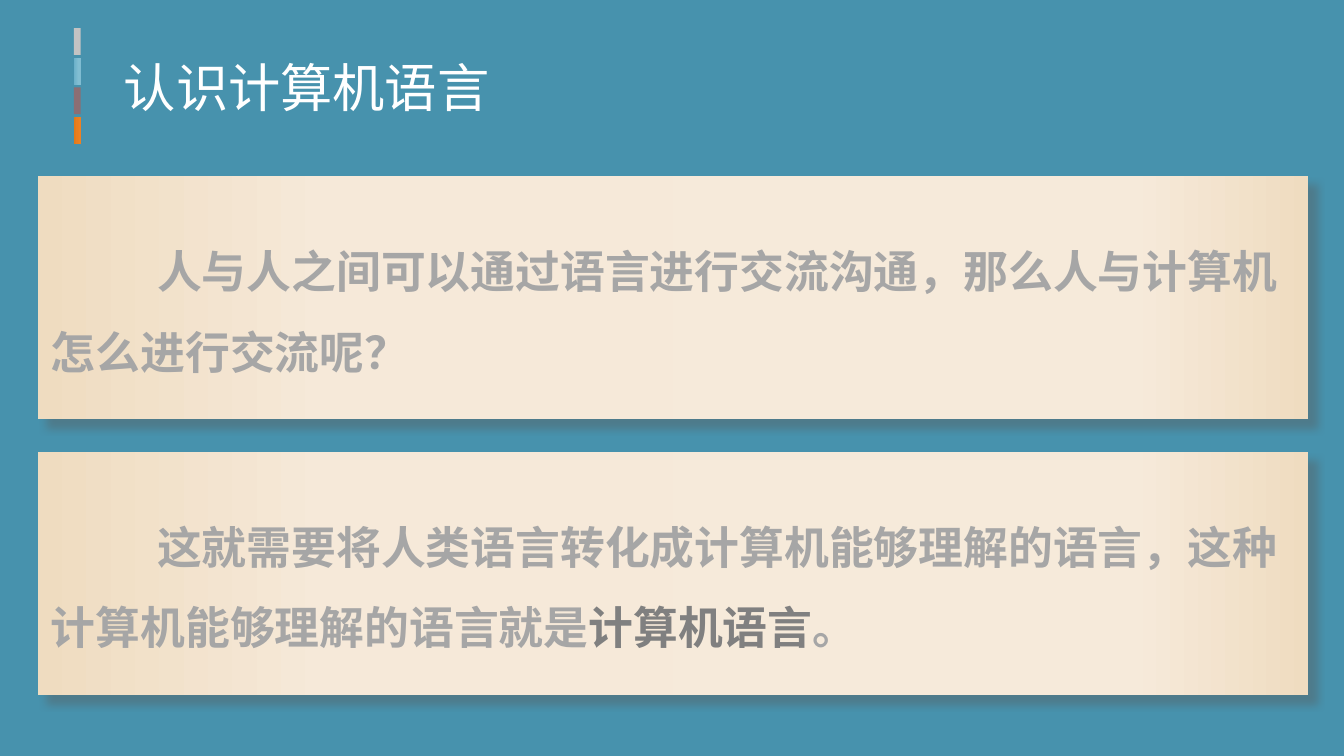
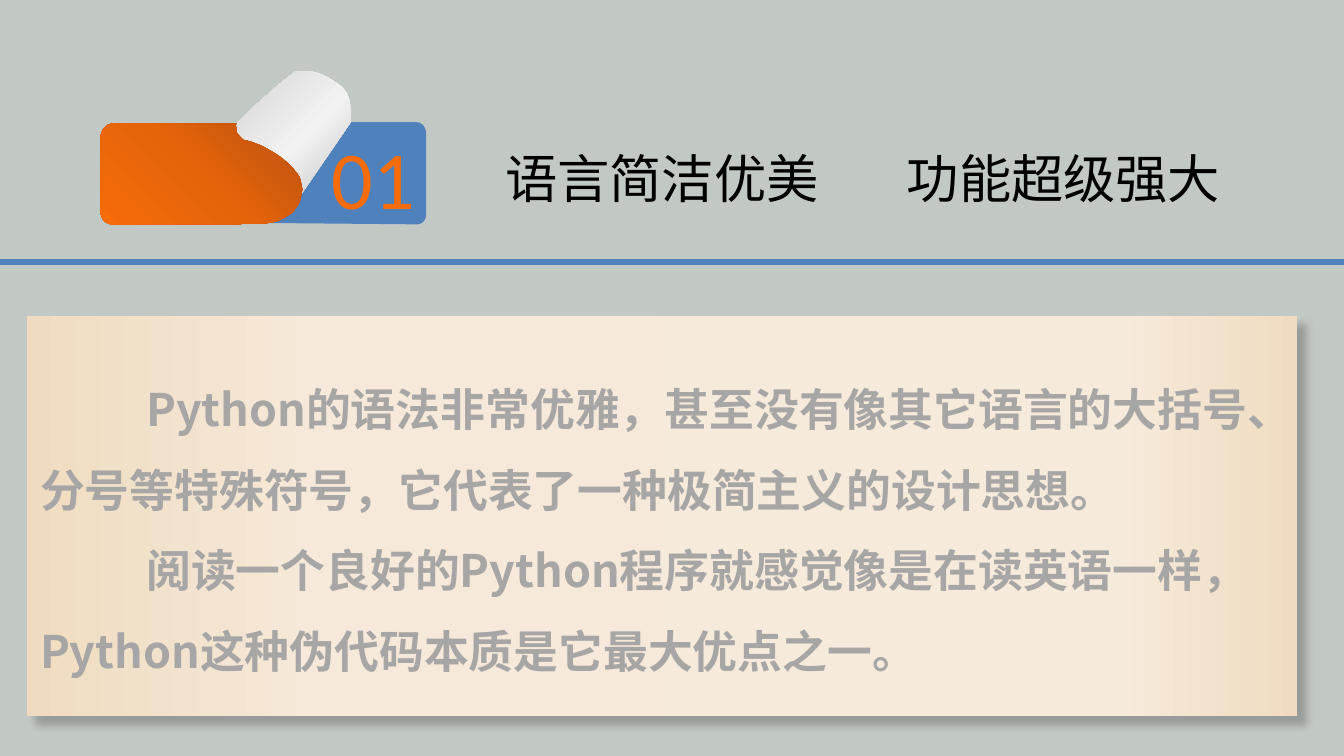
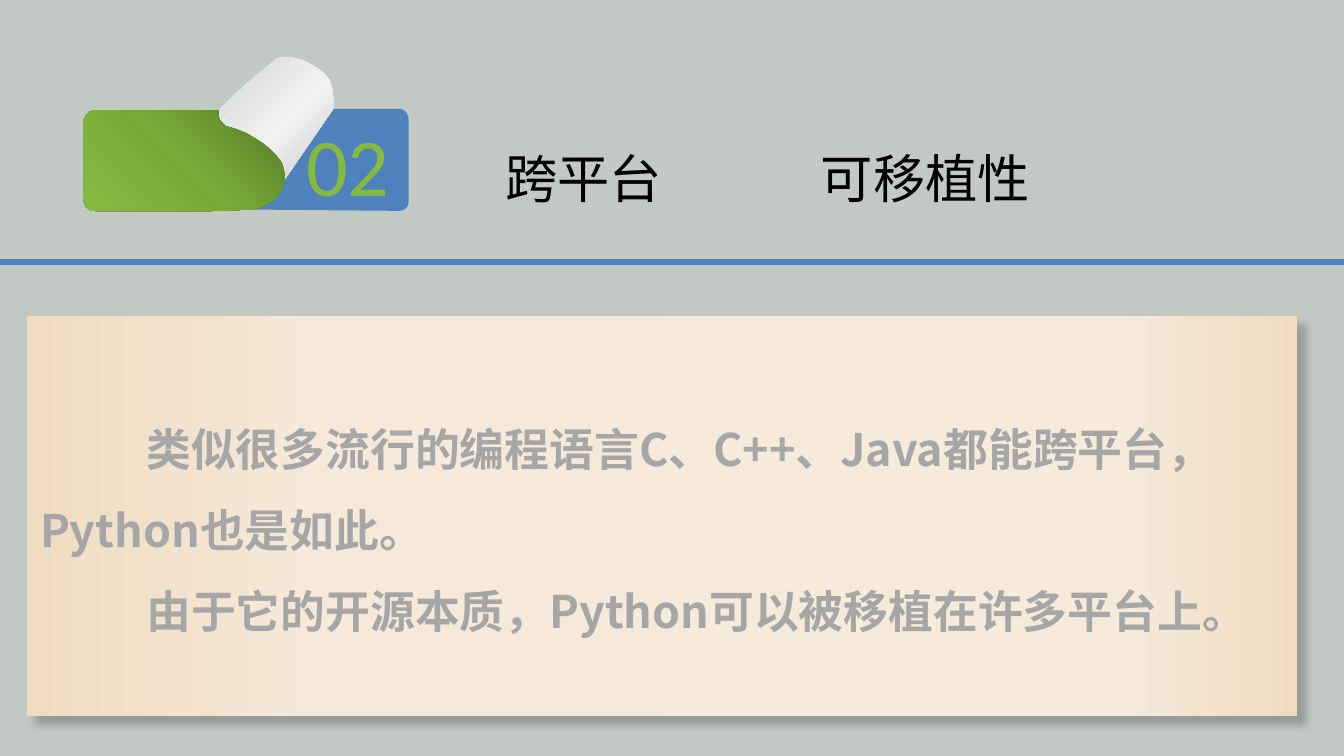
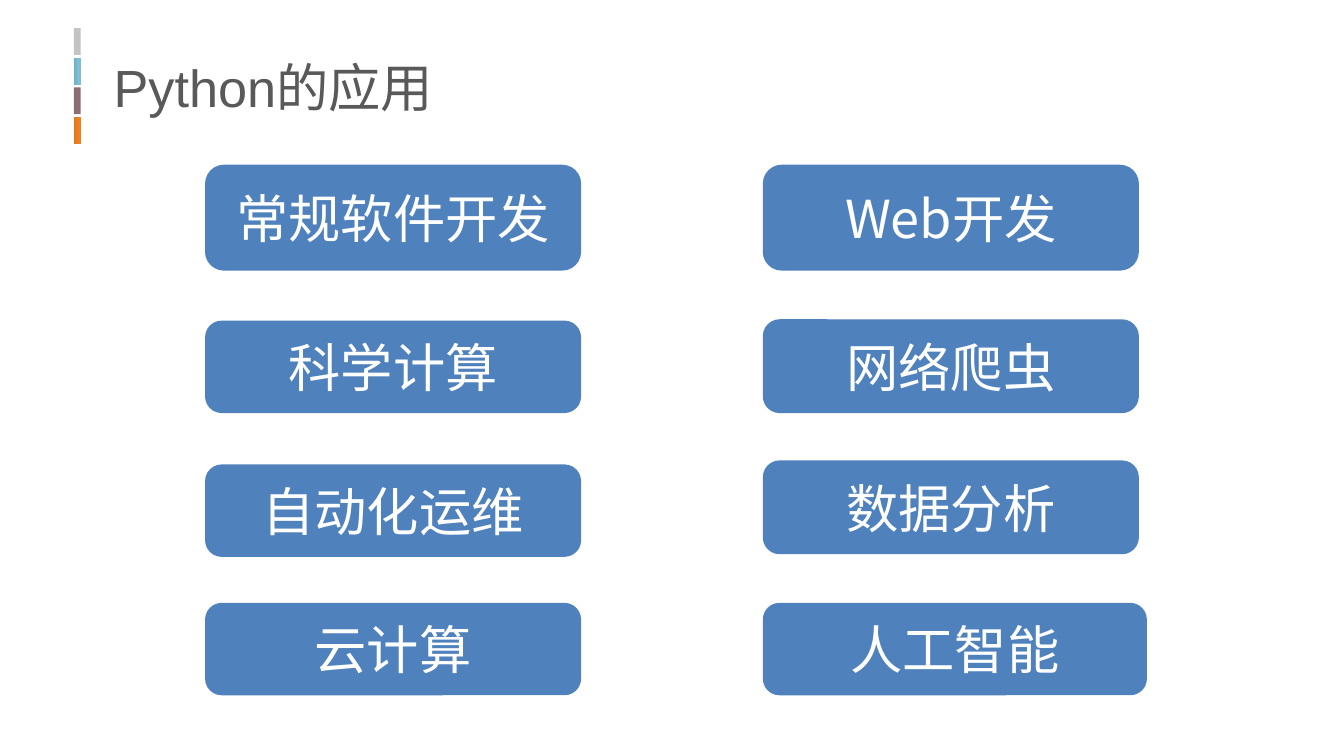
from lxml import etree
from pptx import Presentation
from pptx.dml.color import RGBColor
from pptx.enum.shapes import MSO_CONNECTOR, MSO_SHAPE
from pptx.enum.text import MSO_ANCHOR, MSO_AUTO_SIZE, PP_ALIGN
from pptx.oxml.ns import qn
from pptx.util import Inches, Pt

RECTANGLE, ROUNDED = MSO_SHAPE.RECTANGLE, MSO_SHAPE.ROUNDED_RECTANGLE
STRAIGHT = MSO_CONNECTOR.STRAIGHT
LEFT, CENTER, RIGHT = PP_ALIGN.LEFT, PP_ALIGN.CENTER, PP_ALIGN.RIGHT
TOP, MIDDLE = MSO_ANCHOR.TOP, MSO_ANCHOR.MIDDLE
FIT_SHAPE = MSO_AUTO_SIZE.SHAPE_TO_FIT_TEXT

# Shared style
CJK_FONT = "Noto Sans CJK SC"
BLUE, WHITE, BLACK = "4F81BD", "FFFFFF", "000000"
TEAL, SAGE = "4792AD", "C2C8C4"
TEXT_GREY, STRONG_GREY, TITLE_GREY = "A6A6A6", "808080", "595959"
PARCHMENT = [(0, "EFDCC0"), (23, "F6E9D9"), (50, "F6EADA"), (87, "F6E9D9"), (100, "EFDCC0")]
PAPER = [(8, "D9D9D9"), (50, "F2F2F2"), (98, "BFBFBF")]
ORANGE = [(0, "B95011"), (50, "E5640A"), (100, "F56C09")]
GREEN = [(0, "577B27"), (50, "79AA38"), (100, "86BA3F")]
BARS = ["C3C3C3", [(3, "6CB1CA"), (71, "82BED2")], "8C6E73",
        [(0, "E17919"), (50, "E97E1F"), (100, "F08224")]]

# Page-curl badge outlines: two numbers are a line, six a cubic curve
BADGE_BACK = [(1.98, 1.66), (2.2, 1.51), (2.61, 0.91), (3.1, 0.91),
              (3.14, 0.91, 3.17, 0.95, 3.17, 0.99), (3.17, 1.6),
              (3.17, 1.64, 3.14, 1.67, 3.1, 1.67)]
BADGE_CURL = [(2.2, 0.53), (2.05, 0.65), (1.87, 0.81), (1.75, 0.93), (1.73, 1), (1.78, 1.04),
              (2.05, 1.17), (2.19, 1.3), (2.19, 1.51), (2.08, 1.62), (1.95, 1.67),
              (2.15, 1.58), (2.61, 0.91), (2.61, 0.89, 2.61, 0.88, 2.61, 0.83),
              (2.6, 0.75, 2.61, 0.77, 2.58, 0.69), (2.53, 0.63, 2.51, 0.62, 2.46, 0.59),
              (2.41, 0.56, 2.39, 0.55, 2.31, 0.53), (2.25, 0.53, 2.25, 0.53, 2.2, 0.53)]
BADGE_FRONT = [(1.76, 0.92), (1.75, 0.94, 1.76, 0.93, 1.76, 0.98),
               (1.77, 1, 1.77, 1, 1.81, 1.04), (1.85, 1.05, 1.86, 1.05, 1.91, 1.07),
               (1.97, 1.09, 1.99, 1.11, 2.03, 1.13), (2.09, 1.17, 2.11, 1.18, 2.18, 1.25),
               (2.23, 1.32, 2.23, 1.29, 2.25, 1.41), (2.23, 1.54, 2.22, 1.51, 2.18, 1.58),
               (2.09, 1.64, 2.06, 1.65, 1.99, 1.66), (1.7, 1.67), (0.84, 1.67),
               (0.79, 1.67, 0.75, 1.63, 0.75, 1.58), (0.75, 1.02),
               (0.75, 0.97, 0.79, 0.92, 0.84, 0.92)]


def paint(fill, colour, angle=0):
    """Fill with a hex colour or gradient stops; without an angle the gradient is circular."""
    if isinstance(colour, str):
        fill.solid()
        fill.fore_color.rgb = RGBColor.from_string(colour)
        return
    fill.gradient()
    gradient = fill._xPr.find(qn("a:gradFill"))
    for child in list(gradient):
        gradient.remove(child)
    stop_list = etree.SubElement(gradient, qn("a:gsLst"))
    for position, stop_colour in colour:
        stop = etree.SubElement(stop_list, qn("a:gs"), pos=str(position * 1000))
        etree.SubElement(stop, qn("a:srgbClr"), val=stop_colour)
    if angle is None:
        circle = etree.SubElement(gradient, qn("a:path"), path="circle")
        etree.SubElement(circle, qn("a:fillToRect"), r="100000", b="100000")
    else:
        etree.SubElement(gradient, qn("a:lin"), ang=str(angle * 60000), scaled="0")


def write(shape, paragraphs, size, font_name, colour, alignment=LEFT, anchor=TOP, bold=False):
    """Set paragraphs, each a list of run texts, in one style."""
    frame = shape.text_frame
    frame.word_wrap = True
    frame.vertical_anchor = anchor
    for index, run_texts in enumerate(paragraphs):
        paragraph = frame.add_paragraph() if index else frame.paragraphs[0]
        paragraph.alignment = alignment
        for run_text in run_texts:
            run = paragraph.add_run()
            run.text = run_text
            run.font.size = Pt(size)
            run.font.bold = bold
            run.font.name = font_name
            paint(run.font.fill, colour)
            etree.SubElement(run.font._element, qn("a:ea"), typeface=CJK_FONT)


# Widescreen page, 16 to 9
presentation = Presentation()
presentation.slide_width = Inches(10)
presentation.slide_height = Inches(10) * 9 // 16
title_only = presentation.slide_layouts[5]

slides_content = [
    {"background": TEAL,
     "title": ("认识计算机语言", 0.64, 0.36, 3.1, "Arial", WHITE, RIGHT),
     "cards": [
         (0.28, 1.31, 1.81, [["人与人之间可以通过语言进行交流沟通，那么人与计算机怎么进行交流呢？"]]),
         (0.28, 3.36, 1.81, [["这就需要将人类语言转化成计算机能够理解的语言，这种计算机能够理解的语言就是",
                              "计算机语言", "。"]])]},
    {"background": SAGE,
     "title": ("语言简洁优美", 3.66, 1.04, 2.74, "Calibri", BLACK, LEFT),
     "second heading": ("功能超级强大", 6.65, 2.74),
     "badge": ("01", ORANGE, 0, 0, 2.37, 0.9),
     "cards": [
         (0.2, 2.35, 2.98, [
             ["Python的语法非常优雅，甚至没有像其它语言的大括号、分号等特殊符号，它代表了一种极简主义的设计思想。"],
             ["阅读一个良好的Python程序就感觉像是在读英语一样，Python这种伪代码本质是它最大优点之一。"]])]},
    {"background": SAGE,
     "title": ("跨平台", 3.66, 1.04, 1.73, "Calibri", BLACK, LEFT),
     "second heading": ("可移植性", 6.01, 2.22),
     "badge": ("02", GREEN, -0.13, -0.1, 2.18, 0.8),
     "cards": [
         (0.2, 2.35, 2.98, [
             ["类似很多流行的编程语言C、C++、Java都能跨平台，Python也是如此。"],
             ["由于它的开源本质，Python可以被移植在许多平台上。"]])]},
    {"background": WHITE,
     "title": ("Python的应用", 0.64, 0.36, 2.68, "Arial", TITLE_GREY, RIGHT),
     "cards": []},
]

for content in slides_content:
    slide = presentation.slides.add_slide(title_only)
    shapes = slide.shapes
    paint(slide.background.fill, content["background"])

    # Title
    title_text, left, top, width, font_name, colour, alignment = content["title"]
    title = shapes.title
    title.left, title.top = Inches(left), Inches(top)
    title.width, title.height = Inches(width), Inches(0.57)
    write(title, [[title_text]], 28, font_name, colour, alignment)
    title.text_frame.auto_size = FIT_SHAPE

    if "badge" in content:
        # Second heading and rule
        heading_text, left, width = content["second heading"]
        heading = shapes.add_textbox(Inches(left), Inches(1.04), Inches(width), Inches(0.57))
        write(heading, [[heading_text]], 28, "Calibri", BLACK)
        heading.text_frame.auto_size = FIT_SHAPE
        rule = shapes.add_connector(STRAIGHT, 0, Inches(1.95), Inches(10), Inches(1.95))
        paint(rule.line.fill, BLUE)
        rule.line.width = Pt(3)
        etree.SubElement(rule._element.spPr, qn("a:effectLst"))

        # Numbered page-curl badge
        number, front_fill, shift_x, shift_y, number_left, number_top = content["badge"]
        for outline, fill, angle in [(BADGE_BACK, BLUE, 0), (BADGE_CURL, PAPER, None),
                                     (BADGE_FRONT, front_fill, 135)]:
            points = [outline[0]]
            for segment in outline[1:]:
                if len(segment) == 2:
                    points.append(segment)
                    continue
                x0, y0 = points[-1]
                x1, y1, x2, y2, x3, y3 = segment
                for step in range(1, 9):
                    t = step / 8
                    u = 1 - t
                    points.append((
                        u**3 * x0 + 3 * u * u * t * x1 + 3 * u * t * t * x2 + t**3 * x3,
                        u**3 * y0 + 3 * u * u * t * y1 + 3 * u * t * t * y2 + t**3 * y3))
            points = [(Inches(x + shift_x), Inches(y + shift_y)) for x, y in points]
            builder = shapes.build_freeform(*points[0])
            builder.add_line_segments(points[1:], close=True)
            piece = builder.convert_to_shape()
            paint(piece.fill, fill, angle)
            piece.line.fill.background()
            piece.shadow.inherit = False
        number_box = shapes.add_textbox(Inches(number_left), Inches(number_top),
                                        Inches(0.83), Inches(0.84))
        write(number_box, [[number]], 44, "Calibri", front_fill[-1][1])
        number_box.text_frame.word_wrap = False
        number_box.text_frame.auto_size = FIT_SHAPE
    else:
        # Stack of coloured bars beside the title
        for index, fill in enumerate(BARS):
            bar = shapes.add_shape(RECTANGLE, Inches(0.55), Inches(0.21 + 0.22 * index),
                                   Inches(0.05), Inches(0.2))
            paint(bar.fill, fill)
            bar.line.fill.background()
            bar.shadow.inherit = False

    # Parchment text cards
    for left, top, height, paragraphs in content["cards"]:
        card = shapes.add_shape(RECTANGLE, Inches(left), Inches(top), Inches(9.45), Inches(height))
        paint(card.fill, PARCHMENT)
        card.line.fill.background()
        card.shadow.inherit = False
        effects = card._element.spPr.find(qn("a:effectLst"))
        shadow = etree.SubElement(effects, qn("a:outerShdw"), blurRad=str(Pt(4)), dist=str(Pt(7)),
                                  dir=str(45 * 60000), algn="tl", rotWithShape="0")
        shadow_colour = etree.SubElement(shadow, qn("a:srgbClr"), val="595959")
        etree.SubElement(shadow_colour, qn("a:alpha"), val="40000")
        write(card, paragraphs, 24, CJK_FONT, TEXT_GREY, LEFT, MIDDLE, bold=True)
        for paragraph in card.text_frame.paragraphs:
            paragraph.line_spacing = 1.5
            paragraph._p.get_or_add_pPr().set("indent", str(Inches(0.79)))
            for key_term in paragraph.runs[1:2]:
                paint(key_term.font.fill, STRONG_GREY)

# Application buttons on the last slide: left, then (text, top, width, height)
button_columns = [
    (1.54, [("常规软件开发", 1.24, 2.77, 0.76), ("科学计算", 2.4, 2.77, 0.66),
            ("自动化运维", 3.47, 2.77, 0.66), ("云计算", 4.5, 2.77, 0.66)]),
    (5.69, [("Web开发", 1.24, 2.77, 0.76), ("网络爬虫", 2.39, 2.77, 0.67),
            ("数据分析", 3.44, 2.77, 0.67), ("人工智能", 4.5, 2.83, 0.66)]),
]
for left, buttons in button_columns:
    for label, top, width, height in buttons:
        button = shapes.add_shape(ROUNDED, Inches(left), Inches(top), Inches(width), Inches(height))
        paint(button.fill, BLUE)
        paint(button.line.fill, BLUE)
        button.line.width = Pt(2)
        button.shadow.inherit = False
        write(button, [[label]], 28, CJK_FONT, WHITE, CENTER, MIDDLE)

presentation.save("out.pptx")
